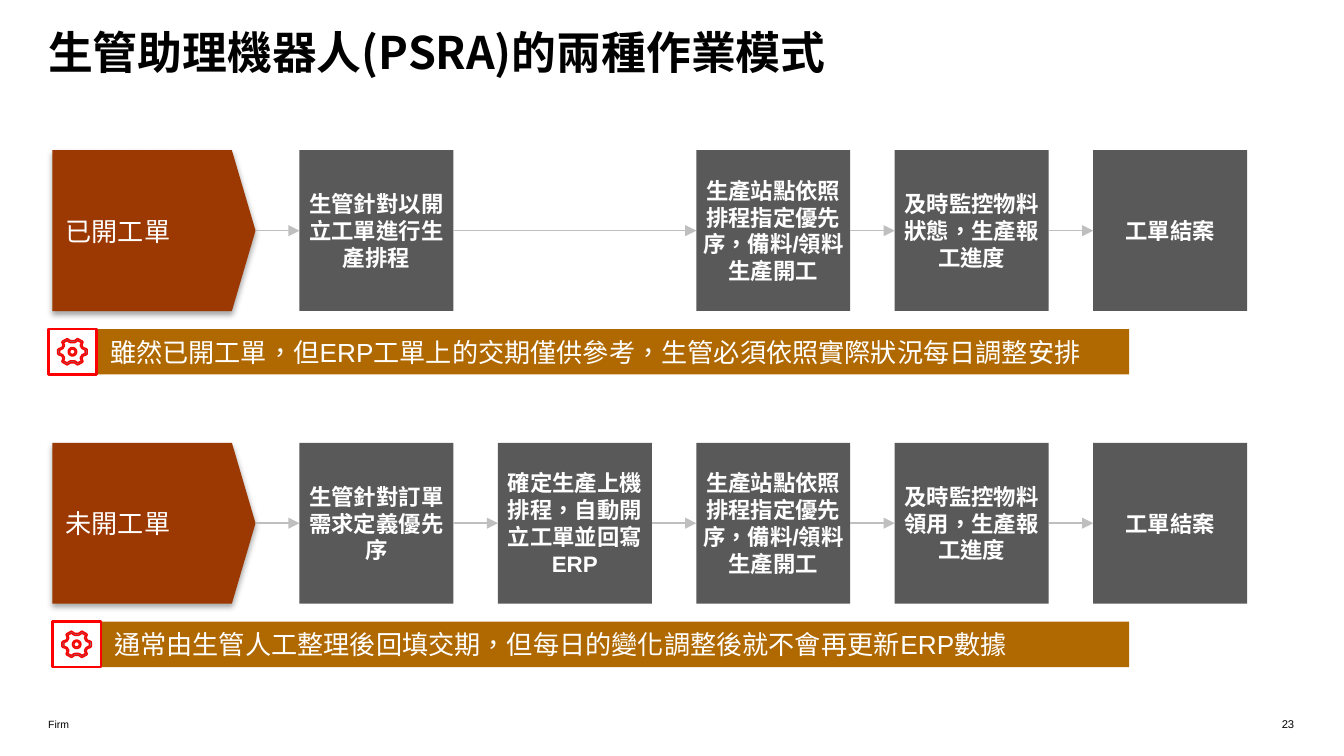
from dataclasses import dataclass
from math import cos, pi, sin

from lxml.etree import SubElement
from pptx import Presentation
from pptx.dml.color import RGBColor
from pptx.enum.lang import MSO_LANGUAGE_ID as Language
from pptx.enum.shapes import MSO_CONNECTOR as Connector, MSO_SHAPE as Preset
from pptx.enum.text import MSO_ANCHOR as Anchor, MSO_AUTO_SIZE as AutoSize, PP_ALIGN as Align
from pptx.oxml.ns import qn
from pptx.util import Cm, Pt

WHITE, BLACK, RED = "FFFFFF", "000000", "FF0000"
RUST, GRAY, OCHRE, SILVER, GEAR_GRAY = "9C3801", "595959", "B06900", "BFBFBF", "7D7D7D"

MODE_LEFT, MODE_WIDTH = 0.99, 3.84
STEP_LEFT, STEP_PITCH, STEP_WIDTH = 5.66, 3.75, 2.91
ROW_HEIGHT = 3.04
NOTE_DROP, NOTE_HEIGHT, NOTE_RIGHT = 3.38, 0.86, 21.34
BADGE_WIDTH = 0.92

# One quarter of each gear contour, in cm from the centre
GEAR_OUTER = [(0.28, 0.04), (0.26, 0.06), (0.2, 0.08), (0.18, 0.13), (0.2, 0.18),
              (0.19, 0.2), (0.1, 0.25), (0.08, 0.24), (0.04, 0.21)]
GEAR_INNER = [(0.24, 0.03), (0.2, 0.05), (0.18, 0.06), (0.15, 0.11), (0.15, 0.13),
              (0.17, 0.17), (0.1, 0.21), (0.06, 0.18), (0.03, 0.17)]


@dataclass
class Mode:
    name: str
    top: float
    steps: dict[int, str]  # column -> wording
    note: str
    badge_left: float


DISPATCH = "生產站點依照排程指定優先序，備料/領料、生產開工"
MODES = [
    Mode("已開工單", 2.84,
         {0: "生管針對以開立工單進行生產排程", 2: DISPATCH,
          3: "及時監控物料狀態，生產報工進度", 4: "工單結案"},
         "雖然已開工單，但ERP工單上的交期僅供參考，生管必須依照實際狀況每日調整安排", 0.91),
    Mode("未開工單", 8.37,
         {0: "生管針對訂單需求定義優先序", 1: "確定生產上機排程，自動開立工單並回寫ERP",
          2: DISPATCH, 3: "及時監控物料領用，生產報工進度", 4: "工單結案"},
         "通常由生管人工整理後回填交期，但每日的變化調整後就不會再更新ERP數據", 0.99),
]


def color(value: str) -> RGBColor:
    return RGBColor.from_string(value)


def write(shape, text: str, size: float, shade: str = WHITE, bold: bool = False,
          font: str = "Arial", align=Align.LEFT, anchor=Anchor.MIDDLE, insets=(0.25, 0.13)):
    """Put one paragraph into a shape; insets are horizontal and vertical."""
    side, end = map(Cm, insets)
    frame = shape.text_frame
    layout = {"word_wrap": True, "auto_size": AutoSize.NONE, "vertical_anchor": anchor,
              "margin_left": side, "margin_right": side, "margin_top": end, "margin_bottom": end}
    for name, value in layout.items():
        setattr(frame, name, value)
    para = frame.paragraphs[0]
    para.alignment = align
    span = para.add_run()
    span.text = text
    style = {"name": font, "size": Pt(size), "bold": bold,
             "language_id": Language.TRADITIONAL_CHINESE}
    for name, value in style.items():
        setattr(span.font, name, value)
    span.font.color.rgb = color(shade)
    SubElement(span.font._element, qn("a:ea"), typeface=font)


def add_block(page, preset, left: float, top: float, width: float, height: float,
              fill: str | None = None, line: str | None = None):
    block = page.shapes.add_shape(preset, Cm(left), Cm(top), Cm(width), Cm(height))
    paint(block, fill, line, 1.5)
    return block


def paint(shape, fill: str | None, line: str | None, weight: float):
    shape.shadow.inherit = False
    if fill:
        shape.fill.solid()
        shape.fill.fore_color.rgb = color(fill)
    else:
        shape.fill.background()
    if line:
        shape.line.color.rgb = color(line)
        shape.line.width = Pt(weight)
    else:
        shape.line.fill.background()


def add_drop_shadow(shape):
    effects = shape._element.spPr.find(qn("a:effectLst"))
    shadow = SubElement(effects, qn("a:outerShdw"), blurRad=str(Pt(3.1)), dist=str(Pt(1.8)),
                        dir="5400000", algn="t", rotWithShape="0")
    tone = SubElement(shadow, qn("a:srgbClr"), val=BLACK)
    SubElement(tone, qn("a:alpha"), val="35000")


def add_arrow(page, source, target):
    """Join the right side of source to the left side of target."""
    arrow = page.shapes.add_connector(Connector.STRAIGHT, 0, 0, 0, 0)
    arrow.begin_connect(source, 3)
    arrow.end_connect(target, 1)
    arrow.line.color.rgb = color(SILVER)
    arrow.line.width = Pt(0.75)
    properties = arrow._element.spPr
    SubElement(properties.find(qn("a:ln")), qn("a:tailEnd"), type="triangle")
    SubElement(properties, qn("a:effectLst"))


def mirror(quarter: list) -> list:
    """Complete a closed contour from its lower right quarter."""
    half = quarter + [(-x, y) for x, y in reversed(quarter)]
    return half + [(x, -y) for x, y in reversed(half)]


def circle(radius: float, count: int = 24) -> list:
    return [(radius * cos(2 * pi * i / count), radius * sin(2 * pi * i / count))
            for i in range(count)]


def add_gear(page, center_x: float, center_y: float):
    builder = None
    for contour in (mirror(GEAR_OUTER), mirror(GEAR_INNER), circle(0.08), circle(0.05)):
        points = [(Cm(center_x + x), Cm(center_y + y)) for x, y in contour]
        if builder is None:
            builder = page.shapes.build_freeform(*points[0])
        else:
            builder.move_to(*points[0])
        builder.add_line_segments(points[1:], close=True)
    paint(builder.convert_to_shape(), GEAR_GRAY, RED, 0.75)


def add_mode(page, mode: Mode):
    label = add_block(page, Preset.PENTAGON, MODE_LEFT, mode.top, MODE_WIDTH, ROW_HEIGHT, RUST)
    label.adjustments[0] = 0.147
    add_drop_shadow(label)
    write(label, mode.name, 14, font="Noto Sans CJK SC")

    previous = label
    for column, text in mode.steps.items():
        box = add_block(page, Preset.RECTANGLE, STEP_LEFT + column * STEP_PITCH, mode.top,
                        STEP_WIDTH, ROW_HEIGHT, GRAY)
        write(box, text, 12, bold=True, align=Align.CENTER, insets=(0, 0.13))
        add_arrow(page, previous, box)
        previous = box

    top = mode.top + NOTE_DROP
    left = mode.badge_left + BADGE_WIDTH
    note = add_block(page, Preset.RECTANGLE, left, top, NOTE_RIGHT - left, NOTE_HEIGHT, OCHRE)
    write(note, mode.note, 14, anchor=Anchor.TOP)
    add_block(page, Preset.RECTANGLE, mode.badge_left, top, BADGE_WIDTH, NOTE_HEIGHT, line=RED)
    add_gear(page, mode.badge_left + BADGE_WIDTH / 2, top + NOTE_HEIGHT / 2)


def main():
    deck = Presentation()
    deck.slide_width, deck.slide_height = Cm(25.4), Cm(14.29)
    page = deck.slides.add_slide(deck.slide_layouts[5])

    title = page.shapes.title
    place = {"left": 0.91, "top": 0.46, "width": 23.16, "height": 2.13}
    for name, value in place.items():
        setattr(title, name, Cm(value))
    write(title, "生管助理機器人(PSRA)的兩種作業模式", 24, BLACK, True, "Noto Sans CJK TC",
          anchor=Anchor.TOP, insets=(0, 0))

    for mode in MODES:
        add_mode(page, mode)

    footers = [("Firm", 0.91, 11.4, 5.6, Align.LEFT), ("23", 17.09, 7.37, 6, Align.RIGHT)]
    for text, left, width, size, align in footers:
        box = page.shapes.add_textbox(Cm(left), Cm(13.54), Cm(width), Cm(0.28))
        write(box, text, size, BLACK, align=align, anchor=Anchor.BOTTOM, insets=(0, 0))

    deck.save("out.pptx")


if __name__ == "__main__":
    main()
